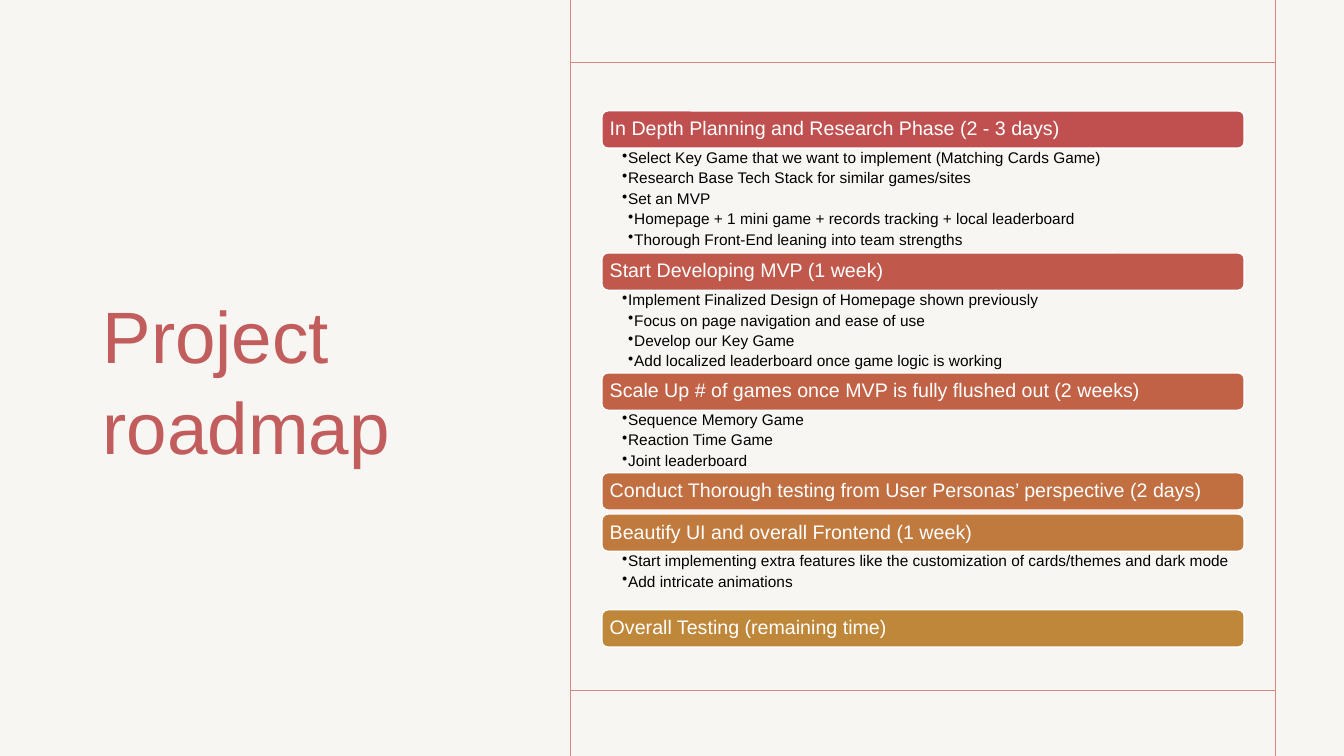
from pptx import Presentation
from pptx.dml.color import RGBColor
from pptx.enum.shapes import MSO_CONNECTOR as Link, MSO_SHAPE as Shape
from pptx.enum.text import MSO_ANCHOR as Anchor, PP_ALIGN as Align
from pptx.oxml.ns import qn
from pptx.util import Inches, Pt
from lxml.etree import SubElement

PAPER = RGBColor(0xF8, 0xF6, 0xF2)
ROSE = RGBColor(0xC2, 0x5D, 0x5D)
CORAL = RGBColor(0xD8, 0x89, 0x7E)
WHITE = RGBColor(0xFF, 0xFF, 0xFF)
BLACK = RGBColor(0, 0, 0)

FONT = "Arial"
LEFT, WIDTH, BAR = 5.97, 6.37, 0.37
INDENT = 0.06

# Each phase: top, bar colour, heading, then (level, text) notes
PHASES = [
    (1.1, RGBColor(0xC0, 0x50, 0x50),
     "In Depth Planning and Research Phase (2 - 3 days)", [
         (1, "Select Key Game that we want to implement (Matching Cards Game)"),
         (1, "Research Base Tech Stack for similar games/sites"),
         (1, "Set an MVP"),
         (2, "Homepage + 1 mini game + records tracking + local leaderboard"),
         (2, "Thorough Front-End leaning into team strengths")]),
    (2.51, RGBColor(0xC0, 0x59, 0x4B), "Start Developing MVP (1 week)", [
        (1, "Implement Finalized Design of Homepage shown previously"),
        (2, "Focus on page navigation and ease of use"),
        (2, "Develop our Key Game"),
        (2, "Add localized leaderboard once game logic is working")]),
    (3.7, RGBColor(0xC1, 0x62, 0x46),
     "Scale Up # of games once MVP is fully flushed out (2 weeks)", [
         (1, "Sequence Memory Game"),
         (1, "Reaction Time Game"),
         (1, "Joint leaderboard")]),
    (4.69, RGBColor(0xC1, 0x6E, 0x41),
     "Conduct Thorough testing from User Personas’ perspective (2 days)", []),
    (5.1, RGBColor(0xC1, 0x7A, 0x3D),
     "Beautify UI and overall Frontend (1 week)", [
         (1, "Start implementing extra features like the customization of "
             "cards/themes and dark mode"),
         (1, "Add intricate animations")]),
    (6.05, RGBColor(0xBF, 0x87, 0x3A), "Overall Testing (remaining time)", []),
]


def set_frame(frame, left, top, right, bottom, anchor):
    frame.word_wrap = True
    frame.vertical_anchor = anchor
    frame.margin_left, frame.margin_right = Inches(left), Inches(right)
    frame.margin_top, frame.margin_bottom = Inches(top), Inches(bottom)


def style(para, size, color, spacing):
    para.alignment = Align.LEFT
    para.line_spacing = spacing
    for run in para.runs:
        run.font.name = FONT
        run.font.size = Pt(size)
        run.font.color.rgb = color


def add_bullet(para, level):
    props = para._p.get_or_add_pPr()
    props.set("marL", str(Inches(INDENT * level)))
    props.set("indent", str(-Inches(INDENT)))
    SubElement(props, qn("a:buChar"), char="•")


def add_title(slide):
    box = slide.shapes.add_textbox(
        Inches(0.92), Inches(0.64), Inches(4.46), Inches(6.23))
    frame = box.text_frame
    set_frame(frame, 0.1, 0.05, 0.1, 0.05, Anchor.MIDDLE)
    frame.text = "Project roadmap"
    style(frame.paragraphs[0], 52, ROSE, 1.04)


def add_rule(slide, x1, y1, x2, y2):
    rule = slide.shapes.add_connector(
        Link.STRAIGHT, Inches(x1), Inches(y1), Inches(x2), Inches(y2))
    rule.line.color.rgb = CORAL
    rule.line.width = Pt(1)
    SubElement(rule._element.spPr, qn("a:effectLst"))


def add_bar(slide, top, color, heading):
    bar = slide.shapes.add_shape(
        Shape.ROUNDED_RECTANGLE,
        Inches(LEFT), Inches(top), Inches(WIDTH), Inches(BAR))
    bar.shadow.inherit = False
    bar.fill.solid()
    bar.fill.fore_color.rgb = color
    bar.line.color.rgb = WHITE
    bar.line.width = Pt(1)
    frame = bar.text_frame
    set_frame(frame, 0.06, 0.06, 0.06, 0.06, Anchor.MIDDLE)
    frame.text = heading
    style(frame.paragraphs[0], 14, WHITE, 0.9)


def add_notes(slide, top, notes):
    box = slide.shapes.add_textbox(
        Inches(LEFT), Inches(top), Inches(WIDTH), Inches(0.21 * len(notes)))
    frame = box.text_frame
    set_frame(frame, 0.2, 0.02, 0.11, 0.02, Anchor.TOP)
    frame.text = "\n".join(text for _, text in notes)
    for para, (level, _) in zip(frame.paragraphs, notes):
        para.level = level
        style(para, 11, BLACK, 0.9)
        para.space_after = Pt(2.7)
        add_bullet(para, level)


def main():
    deck = Presentation()
    deck.slide_width, deck.slide_height = Inches(13.33), Inches(7.5)
    slide = deck.slides.add_slide(deck.slide_layouts[6])
    slide.background.fill.solid()
    slide.background.fill.fore_color.rgb = PAPER

    add_title(slide)
    for y in (0.62, 6.85):
        add_rule(slide, 5.66, y, 12.65, y)
    for x in (5.66, 12.65):
        add_rule(slide, x, 0, x, 7.5)
    for top, color, heading, notes in PHASES:
        add_bar(slide, top, color, heading)
        if notes:
            add_notes(slide, top + BAR, notes)
    deck.save("out.pptx")


if __name__ == "__main__":
    main()
